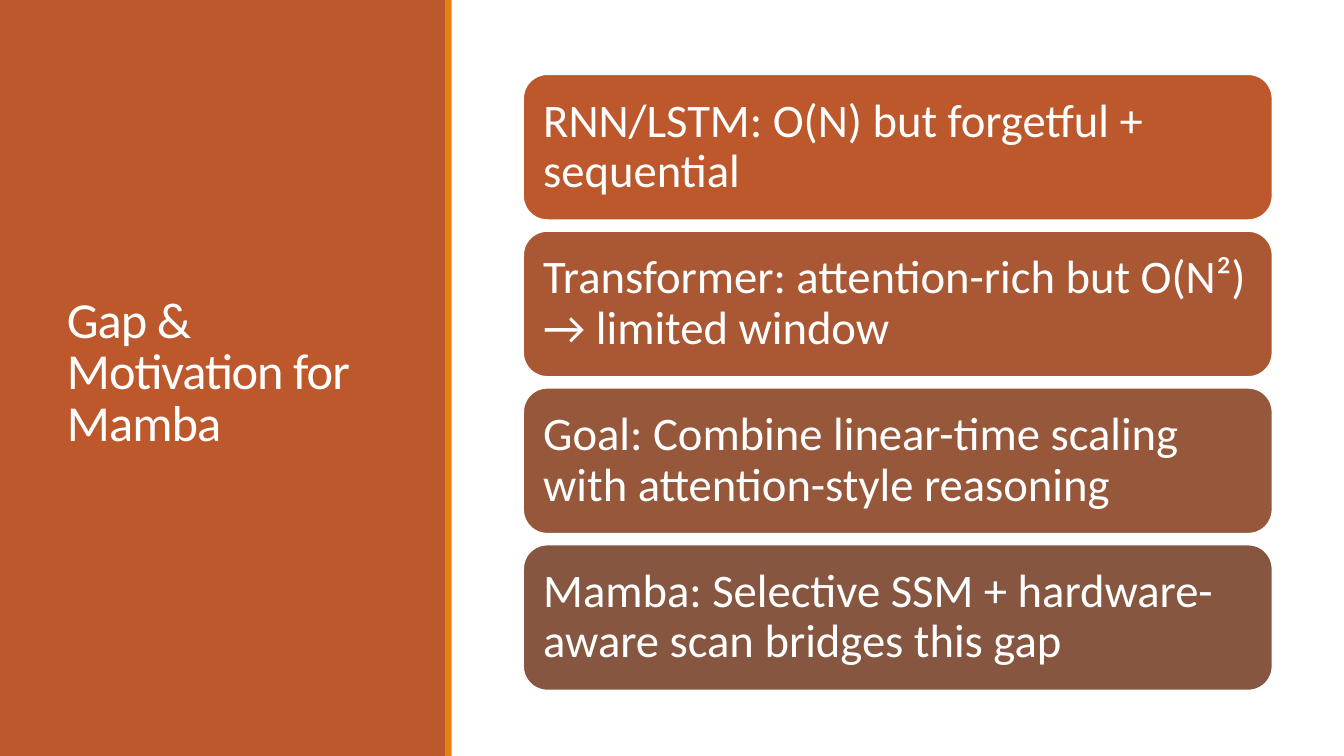
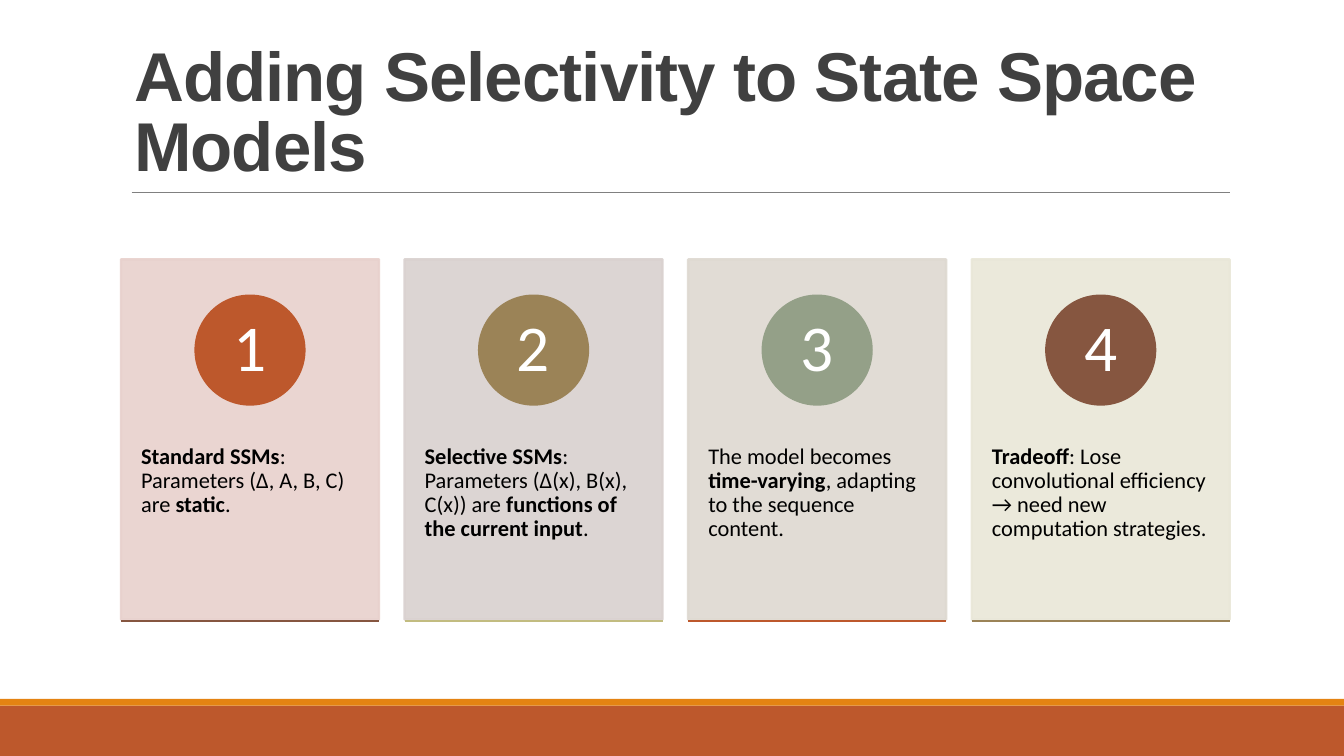
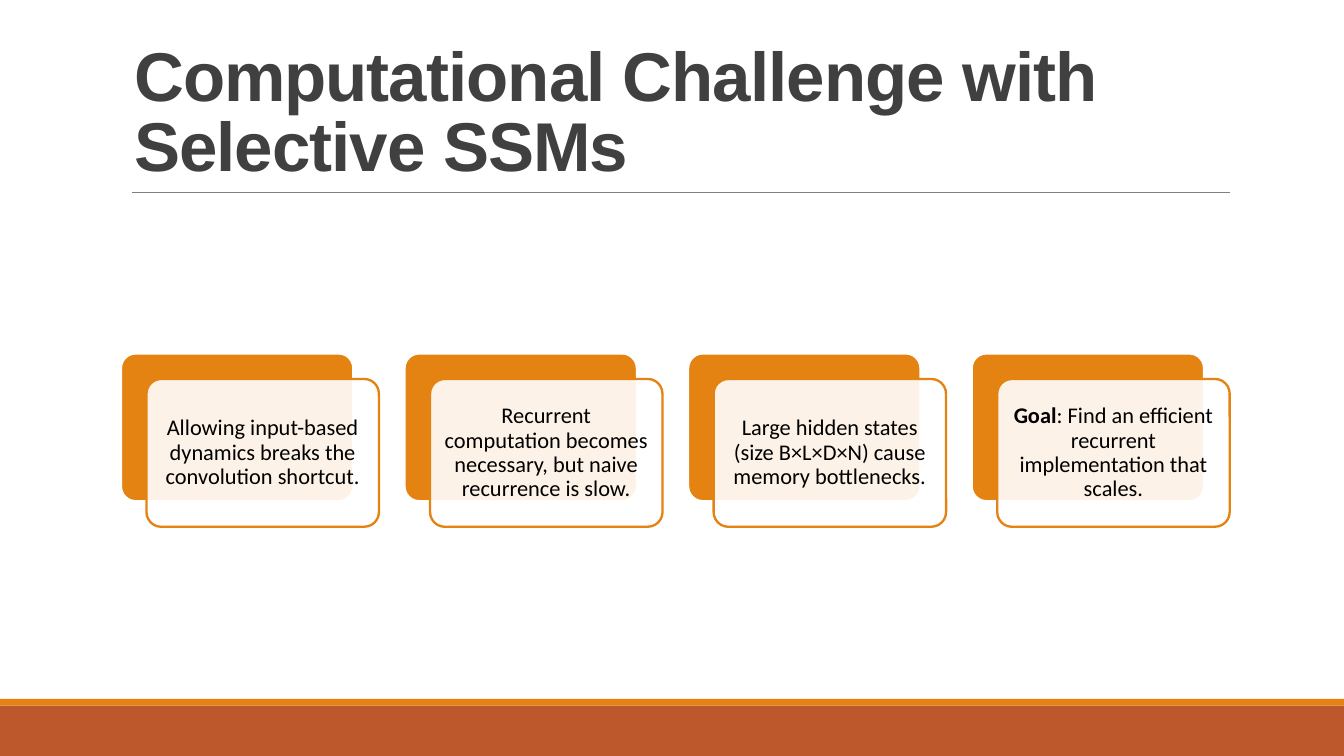
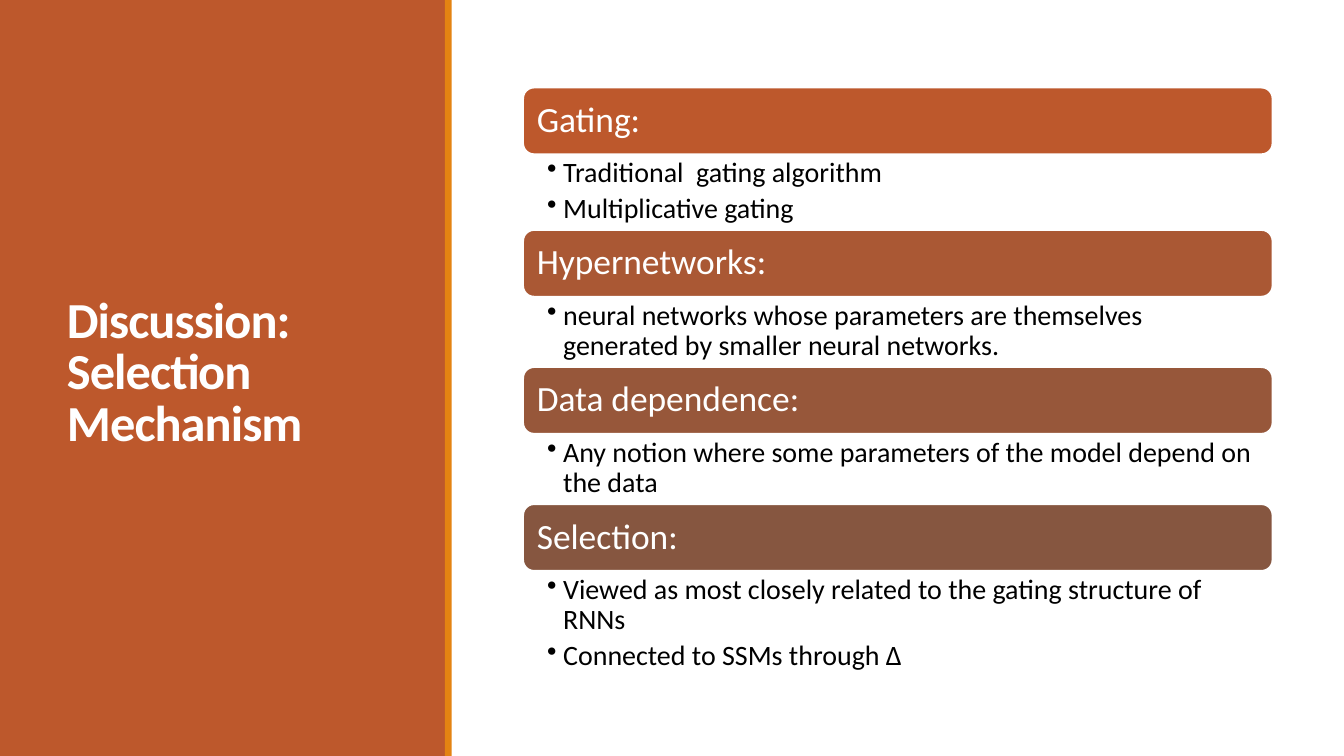
from lxml import etree
from pptx import Presentation
from pptx.dml.color import RGBColor
from pptx.enum.shapes import MSO_CONNECTOR, MSO_SHAPE
from pptx.enum.text import MSO_ANCHOR, PP_ALIGN
from pptx.oxml.ns import qn
from pptx.util import Inches, Pt

RECT, ROUND, OVAL = MSO_SHAPE.RECTANGLE, MSO_SHAPE.ROUNDED_RECTANGLE, MSO_SHAPE.OVAL
TOP, MIDDLE, BOTTOM = MSO_ANCHOR.TOP, MSO_ANCHOR.MIDDLE, MSO_ANCHOR.BOTTOM
LEFT, CENTER = PP_ALIGN.LEFT, PP_ALIGN.CENTER

# Colours
RUST = RGBColor(0xBD, 0x58, 0x2C)
ORANGE = RGBColor(0xE4, 0x83, 0x12)
BROWN = RGBColor(0x86, 0x56, 0x40)
SIENNA = RGBColor(0xAA, 0x58, 0x34)
UMBER = RGBColor(0x97, 0x57, 0x3A)
OCHRE = RGBColor(0x9B, 0x83, 0x57)
SAGE = RGBColor(0x94, 0xA0, 0x88)
KHAKI = RGBColor(0xC2, 0xBC, 0x80)
PINK = RGBColor(0xE8, 0xD1, 0xCD)
MAUVE = RGBColor(0xD9, 0xD1, 0xCF)
STONE = RGBColor(0xDE, 0xD9, 0xD1)
CREAM = RGBColor(0xE9, 0xE7, 0xD8)
WHITE = RGBColor(0xFF, 0xFF, 0xFF)
BLACK = RGBColor(0, 0, 0)
CHARCOAL = RGBColor(0x40, 0x40, 0x40)
GREY = RGBColor(0x80, 0x80, 0x80)
FADE = [RUST, SIENNA, UMBER, BROWN]

# Content: ** marks bold text
MOTIVATION_TITLE = "Gap & Motivation for Mamba"
MOTIVATION = [
    "RNN/LSTM: O(N) but forgetful + sequential",
    "Transformer: attention-rich but O(N²) → limited window",
    "Goal: Combine linear-time scaling with attention-style reasoning",
    "Mamba: Selective SSM + hardware-aware scan bridges this gap",
]

SELECTIVITY_TITLE = "**Adding Selectivity to State Space Models**"
SELECTIVITY = [  # text, card, badge, base line
    ("**Standard SSMs**: Parameters (Δ, A, B, C) are **static**.", PINK, RUST, BROWN),
    ("**Selective SSMs**: Parameters (Δ(x), B(x), C(x)) are "
     "**functions of the current input**.", MAUVE, OCHRE, KHAKI),
    ("The model becomes **time-varying**, adapting to the sequence content.",
     STONE, SAGE, RUST),
    ("**Tradeoff**: Lose convolutional efficiency → need new computation strategies.",
     CREAM, BROWN, OCHRE),
]

CHALLENGE_TITLE = "**Computational Challenge with Selective SSMs**"
CHALLENGES = [
    "Allowing input-based dynamics breaks the convolution shortcut.",
    "Recurrent computation becomes necessary, but naive recurrence is slow.",
    "Large hidden states (size B×L×D×N) cause memory bottlenecks.",
    "**Goal**: Find an efficient recurrent implementation that scales.",
]

DISCUSSION_TITLE = "**Discussion: Selection Mechanism**"
DISCUSSION = [  # heading, bullets, height of the bullets
    ("Gating:", ["Traditional  gating algorithm", "Multiplicative gating"], 0.56),
    ("Hypernetworks:", ["neural networks whose parameters are themselves "
                        "generated by smaller neural networks."], 0.52),
    ("Data dependence:", ["Any notion where some parameters of the model "
                          "depend on the data"], 0.52),
    ("Selection:", ["Viewed as most closely related to the gating structure of RNNs",
                    "Connected to SSMs through Δ"], 0.8),
]

# Shared grid, in inches
COLUMN_LEFT, COLUMN_STEP = 0.9, 2.11
LIST_LEFT, LIST_WIDTH = 3.89, 5.58

prs = Presentation()
prs.slide_width = Inches(10)
prs.slide_height = Inches(10) * 9 // 16
SLIDE_HEIGHT = prs.slide_height.inches


def new_slide():
    return prs.slides.add_slide(prs.slide_layouts[6])


def set_alpha(parent, percent):
    for colour in parent.iter(qn("a:srgbClr")):
        etree.SubElement(colour, qn("a:alpha")).set("val", str(percent * 1000))


def add_box(slide, kind, left, top, width, height, fill, line=None, alpha=None):
    box = slide.shapes.add_shape(kind, Inches(left), Inches(top), Inches(width), Inches(height))
    box.shadow.inherit = False
    box.fill.solid()
    box.fill.fore_color.rgb = fill
    if alpha:
        set_alpha(box.fill._xPr, alpha)
    if line is None:
        box.line.fill.background()
    else:
        box.line.color.rgb = line
        box.line.width = Pt(1.25)
    return box


def add_text_box(slide, left, top, width, height):
    return slide.shapes.add_textbox(Inches(left), Inches(top), Inches(width), Inches(height))


def add_line(slide, left, right, y, colour, width):
    line = slide.shapes.add_connector(
        MSO_CONNECTOR.STRAIGHT, Inches(left), Inches(y), Inches(right), Inches(y))
    line.line.color.rgb = colour
    line.line.width = Pt(width)
    etree.SubElement(line._element.spPr, qn("a:effectLst"))


def write(shape, paragraphs, size, colour, insets, anchor=MIDDLE, align=LEFT,
          font="Calibri", spacing=0.9, tracking=None, bullets=False):
    """Fill a shape with paragraphs; insets are left, top, right, bottom."""
    frame = shape.text_frame
    frame.word_wrap = True
    frame.vertical_anchor = anchor
    (frame.margin_left, frame.margin_top,
     frame.margin_right, frame.margin_bottom) = map(Inches, insets)
    for i, text in enumerate(paragraphs):
        paragraph = frame.add_paragraph() if i else frame.paragraphs[0]
        if bullets:
            props = paragraph._p.get_or_add_pPr()
            props.set("marL", str(Inches(0.12)))
            props.set("indent", str(Inches(-0.12)))
            etree.SubElement(props, qn("a:buChar")).set("char", "•")
            paragraph.space_after = Pt(size * 0.2)
        paragraph.alignment = align
        paragraph.line_spacing = spacing
        for j, part in enumerate(text.split("**")):
            if not part:
                continue
            run = paragraph.add_run()
            run.text = part
            run.font.name = font
            run.font.size = Pt(size)
            run.font.bold = j % 2 == 1
            run.font.color.rgb = colour
            if tracking:
                run._r.get_or_add_rPr().set("spc", str(int(tracking * 100)))


def side_title_slide(title):
    slide = new_slide()
    add_box(slide, RECT, 0, 0, 3.32, SLIDE_HEIGHT, RUST)
    write(add_text_box(slide, 0.4, 0.42, 2.53, 4.73), [title], 27, WHITE,
          (0.1, 0.05, 0.1, 0.05), spacing=0.85, tracking=-0.5)
    add_box(slide, RECT, 3.31, 0, 0.05, SLIDE_HEIGHT, ORANGE)
    return slide


def top_title_slide(title):
    slide = new_slide()
    add_box(slide, RECT, 0, 5.25, 10, SLIDE_HEIGHT - 5.25, RUST)
    add_box(slide, RECT, 0, 5.2, 10, 0.05, ORANGE)
    add_line(slide, 0.98, 9.15, 1.43, GREY, 0.5)
    write(add_text_box(slide, 0.9, 0.24, 8.25, 1.19), [title], 37, CHARCOAL,
          (0.1, 0.05, 0.1, 0.05), anchor=BOTTOM, font="Arial", spacing=0.85, tracking=-0.5)
    return slide


def columns(items):
    return [(COLUMN_LEFT + i * COLUMN_STEP, item) for i, item in enumerate(items)]


# Slide 1: stacked motivation bars
slide = side_title_slide(MOTIVATION_TITLE)
bar_height, first_top, last_top = 1.09, 0.55, 4.05
bar_step = (last_top - first_top) / (len(MOTIVATION) - 1)
for i, (text, colour) in enumerate(zip(MOTIVATION, FADE)):
    bar = add_box(slide, ROUND, LIST_LEFT, first_top + i * bar_step,
                  LIST_WIDTH, bar_height, colour, WHITE)
    write(bar, [text], 25, WHITE, [0.1] * 4)

# Slide 2: numbered cards
slide = top_title_slide(SELECTIVITY_TITLE)
card_width, card_top, card_height, badge_size = 1.92, 1.93, 2.68, 0.81
for number, (left, (text, tint, badge_colour, base_colour)) in enumerate(columns(SELECTIVITY), 1):
    card = add_box(slide, RECT, left, card_top, card_width, card_height, tint, tint, alpha=90)
    set_alpha(card.line._ln, 90)
    write(card, [text], 12, BLACK, (0.15, 1.38, 0.15, 0.36), anchor=TOP)
    badge = add_box(slide, OVAL, left + (card_width - badge_size) / 2, 2.2,
                    badge_size, badge_size, badge_colour, badge_colour)
    write(badge, [str(number)], 35, WHITE, (0.06, 0.01, 0.06, 0.01), align=CENTER)
    add_line(slide, left, left + card_width, 4.62, base_colour, 1.25)

# Slide 3: challenge cards on offset backs
slide = top_title_slide(CHALLENGE_TITLE)
card_width, card_height, back_top, offset = 1.73, 1.1, 2.63, 0.19
for left, text in columns(CHALLENGES):
    back = add_box(slide, ROUND, left, back_top, card_width, card_height, ORANGE, WHITE)
    front = add_box(slide, ROUND, left + offset, back_top + offset,
                    card_width, card_height, WHITE, ORANGE, alpha=90)
    for card in (back, front):
        card.adjustments[0] = 0.1
    write(front, [text], 12, BLACK, [0.05] * 4, align=CENTER)

# Slide 4: headings with bullets, stacked
slide = side_title_slide(DISCUSSION_TITLE)
heading_height, top = 0.5, 0.65
for (heading, points, points_height), colour in zip(DISCUSSION, FADE):
    bar = add_box(slide, ROUND, LIST_LEFT, top, LIST_WIDTH, heading_height, colour, WHITE)
    write(bar, [heading], 19, WHITE, [0.08] * 4)
    top += heading_height
    write(add_text_box(slide, LIST_LEFT, top, LIST_WIDTH, points_height), points, 15, BLACK,
          (0.18, 0.03, 0.15, 0.03), anchor=TOP, bullets=True)
    top += points_height

prs.save("out.pptx")
